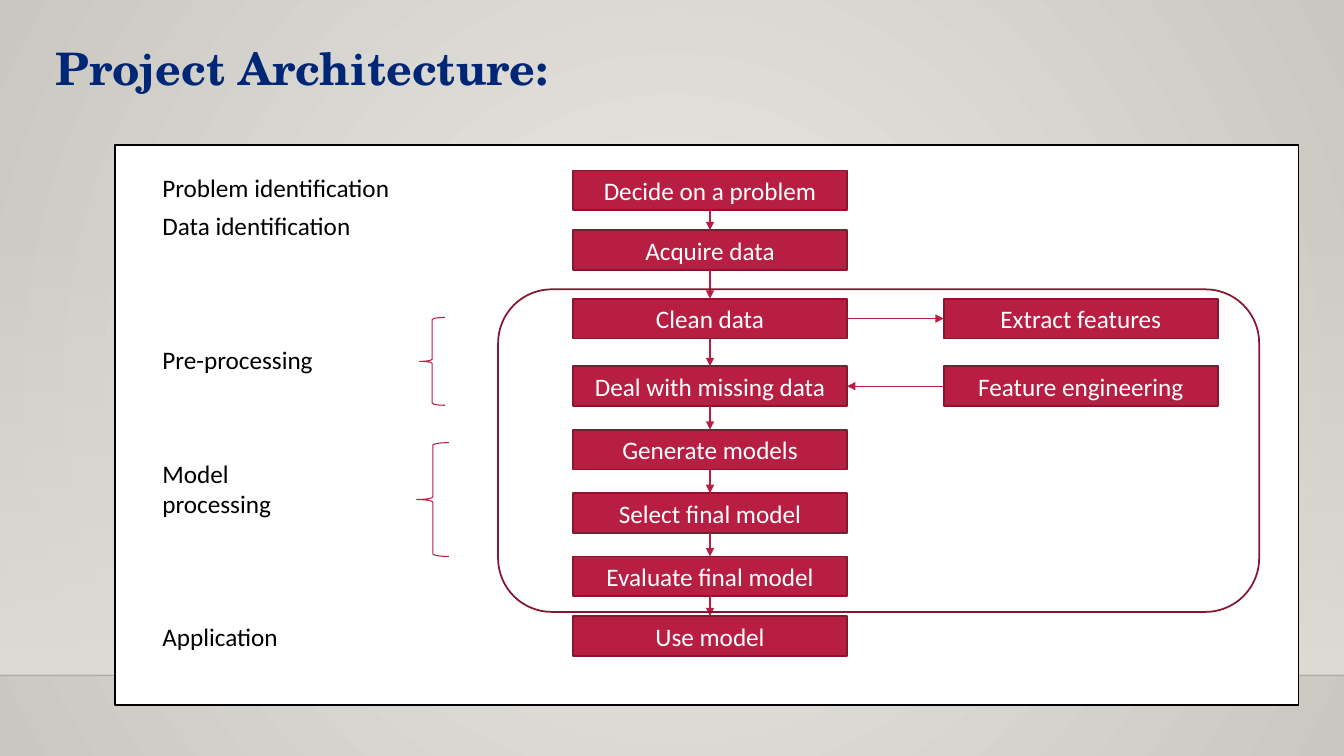
from lxml import etree
from pptx import Presentation
from pptx.dml.color import RGBColor
from pptx.enum.shapes import MSO_CONNECTOR, MSO_SHAPE
from pptx.enum.text import MSO_ANCHOR, PP_ALIGN
from pptx.oxml.ns import qn
from pptx.util import Emu, Pt

RECT, ROUND, BRACE = MSO_SHAPE.RECTANGLE, MSO_SHAPE.ROUNDED_RECTANGLE, MSO_SHAPE.LEFT_BRACE
STRAIGHT = MSO_CONNECTOR.STRAIGHT
LEFT, CENTER = PP_ALIGN.LEFT, PP_ALIGN.CENTER
TOP, MIDDLE = MSO_ANCHOR.TOP, MSO_ANCHOR.MIDDLE
COLS, ROWS = 32, 18
UNIT = 381000  # one square grid cell in EMU
RED, DARK, BLACK, WHITE = "B71E42", "871631", "000000", "FFFFFF"
STEPS = [("Decide on a problem", 0.6), ("Acquire data", 2.02),
         ("Clean data", 3.65), ("Deal with missing data", 5.26),
         ("Generate models", 6.77), ("Select final model", 8.28),
         ("Evaluate final model", 9.79), ("Use model", 11.21)]
PHASES = [("Problem identification", 0.53), ("Data identification", 1.42),
          ("Pre-processing", 4.61), ("Model\nprocessing", 7.34),
          ("Application", 11.21)]
BRACES = [(7.25, 4.1, 0.6, 2.09), (7.18, 7.08, 0.77, 2.71)]


def rgb(code):
    return RGBColor.from_string(code)


def grid(*cells):
    return [Emu(round(c * UNIT)) for c in cells]


def inside(box, x, y, w, h):
    """Turn a place within the box into a place on the slide."""
    return box[0] + x, box[1] + y, w, h


def fade(color, percent):
    """Set the opacity of a colour element."""
    etree.SubElement(color, qn("a:alpha")).set("val", str(percent * 1000))


def blend(fill, first, last):
    fill.gradient()
    for stop, code in zip(fill.gradient_stops, (first, last)):
        stop.color.rgb = rgb(code)
        stop.position = 0 if code == first and stop is fill.gradient_stops[0] else stop.position
    fill.gradient_stops[0].position, fill.gradient_stops[1].position = 0, 1


def shape(slide, kind, box, fill=None, line=None, width=1.25):
    item = slide.shapes.add_shape(kind, *grid(*box))
    item.shadow.inherit = False
    if fill:
        item.fill.solid()
        item.fill.fore_color.rgb = rgb(fill)
    else:
        item.fill.background()
    if line:
        item.line.color.rgb = rgb(line)
        item.line.width = Pt(width)
    else:
        item.line.fill.background()
    return item


def write(item, text, size=18, font="Calibri", color=BLACK, bold=False,
          align=LEFT, anchor=TOP):
    frame = item.text_frame
    frame.word_wrap = True
    frame.vertical_anchor = anchor
    frame.text = text
    for par in frame.paragraphs:
        par.alignment = align
        style = par.runs[0].font
        style.size, style.name, style.bold = Pt(size), font, bold
        style.color.rgb = rgb(color)


def label(slide, box, text, **form):
    write(slide.shapes.add_textbox(*grid(*box)), text, **form)


def rule(slide, ends, color, width):
    line = slide.shapes.add_connector(STRAIGHT, *grid(*ends))
    line.line.color.rgb = rgb(color)
    line.line.width = Pt(width)
    etree.SubElement(line.element.spPr, qn("a:effectLst"))
    return line


def arrow(slide, start, out, end, into):
    """Join two boxes at the given sides."""
    line = rule(slide, (0, 0, 0, 0), RED, 0.75)
    line.begin_connect(start, out)
    line.end_connect(end, into)
    etree.SubElement(line.line._get_or_add_ln(), qn("a:tailEnd")).set("type", "triangle")


def step(slide, box, text):
    item = shape(slide, RECT, box, RED, DARK)
    write(item, text, color=WHITE, align=CENTER, anchor=MIDDLE)
    return item


def backdrop(slide, box):
    """Radial background, with a shaded wall and a floor line."""
    x, y, w, h = box
    blend(slide.background.fill, "ECEAE7", "CAC7C1")
    grad = slide.element.find(".//" + qn("a:gradFill"))
    grad.remove(grad.find(qn("a:lin")))
    path = etree.SubElement(grad, qn("a:path"))
    path.set("path", "circle")
    focus = etree.SubElement(path, qn("a:fillToRect"))
    for side in "ltrb":
        focus.set(side, "50000")
    floor = y + 16.08
    wall = shape(slide, RECT, (x, y + 5.3, w, 10.78))
    blend(wall.fill, "DFDBD5", "DFDBD5")
    wall.fill.gradient_angle = 270
    fade(wall.element.find(".//" + qn("a:srgbClr")), 0)
    line = rule(slide, (x, floor, x + w, floor), "000001", 1)
    fade(line.element.find(".//" + qn("a:srgbClr")), 20)


def flow(slide, box):
    """Chain of steps with two side steps, inside a rounded frame."""
    wide, high = 6.53, 0.95
    chain = [step(slide, inside(box, 10.9, y, wide, high), text) for text, y in STEPS]
    clean, deal = chain[2:4]
    extract, craft = [step(slide, inside(box, 19.73, STEPS[i][1], wide, high), text)
                      for i, text in ((2, "Extract features"), (3, "Feature engineering"))]
    arrow(slide, clean, 3, extract, 1)
    for above, below in zip(chain, chain[1:]):
        arrow(slide, above, 2, below, 0)
    arrow(slide, craft, 1, deal, 3)
    shape(slide, ROUND, inside(box, 9.12, 3.43, 18.12, 7.68), line=DARK)


def phases(slide, box):
    for place in BRACES:
        shape(slide, BRACE, inside(box, *place), line=RED, width=0.75)
    for text, y in PHASES:
        lines = text.count("\n") + 1
        label(slide, inside(box, 0.89, y, 6, 0.96 * lines), text)


def main():
    deck = Presentation()
    deck.slide_width, deck.slide_height = grid(COLS, ROWS)
    slide = deck.slides.add_slide(deck.slide_layouts[6])
    panel = (2.74, 3.46, 28.18, 13.32)
    backdrop(slide, (0, 0, COLS, ROWS))
    shape(slide, RECT, panel, WHITE, BLACK)
    label(slide, (1.08, 0.84, 23.45, 4.13), "Project Architecture:",
          size=32, font="TeX Gyre Schola", color="002776", bold=True)
    flow(slide, panel)
    phases(slide, panel)
    deck.save("out.pptx")


if __name__ == "__main__":
    main()
